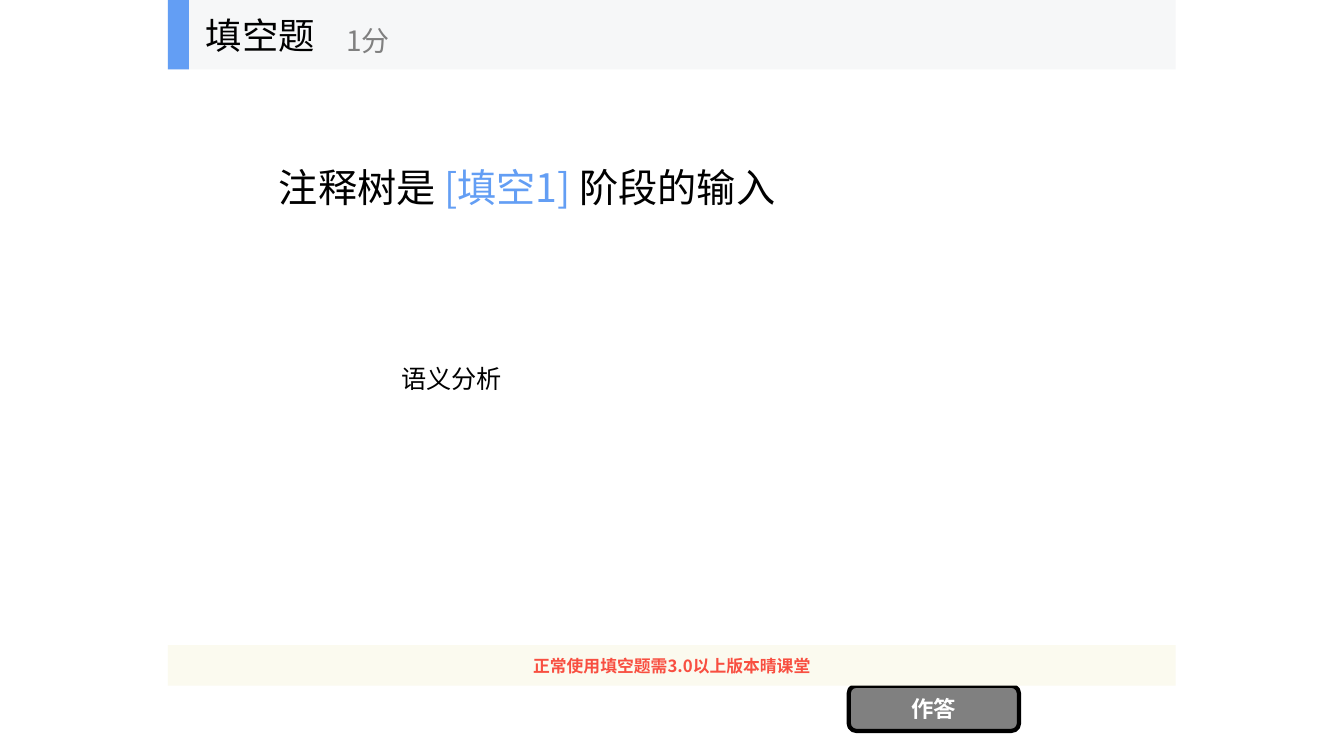
"""Build a fill-in-the-blank quiz slide."""
from lxml import etree
from pptx import Presentation
from pptx import util as u
from pptx.dml.color import RGBColor
from pptx.enum import shapes, text
from pptx.oxml.ns import qn

COLORS = {
    "black": "000000",
    "white": "FFFFFF",
    "gray": "808080",
    "blue": "639EF4",
    "header": "F6F7F8",
    "cream": "FBFAEF",
    "red": "F84F41",
}
LEFT, WIDTH = 4.23, 25.4
HEADER_HEIGHT = 1.75
NOTICE_TOP, NOTICE_HEIGHT = 16.26, 1.02


class QuizPage:
    """Hold the style and the current slide."""

    font = "Noto Sans CJK SC"

    def __init__(self, deck):
        self.page = deck.slides.add_slide(deck.slide_layouts[5])

    def color(self, name):
        return RGBColor.from_string(COLORS[name])

    def add_text(self, shape, spans, size, font=None, bold=False, wrap=False,
                 align=text.PP_ALIGN.LEFT, anchor=text.MSO_ANCHOR.MIDDLE):
        frame = shape.text_frame
        frame.word_wrap = wrap
        frame.auto_size = text.MSO_AUTO_SIZE.NONE
        frame.vertical_anchor = anchor
        para = frame.paragraphs[0]
        para.alignment = align
        for words, color in spans:
            span = para.add_run()
            span.text = words
            span.font.size = u.Pt(size)
            span.font.bold = bold
            span.font.name = font or self.font
            span.font.color.rgb = self.color(color)
            east_asian = etree.SubElement(span.font._element, qn("a:ea"))
            east_asian.set("typeface", font or self.font)

    def panel(self, place, fill, kind=shapes.MSO_SHAPE.RECTANGLE, line=None):
        shape = self.page.shapes.add_shape(kind, *map(u.Cm, place))
        shape.shadow.inherit = False
        shape.fill.solid()
        shape.fill.fore_color.rgb = self.color(fill)
        if line:
            shape.line.color.rgb = self.color(line)
            shape.line.width = u.Pt(3)
        else:
            shape.line.fill.background()
        return shape

    def label(self, place, spans, size, **style):
        box = self.page.shapes.add_textbox(*map(u.Cm, place))
        self.add_text(box, spans, size, **style)

    def title(self, place, spans, size):
        box = self.page.shapes.title
        box.left, box.top, box.width, box.height = map(u.Cm, place)
        self.page.shapes._spTree.append(box._element)
        self.add_text(box, spans, size)


def main():
    deck = Presentation()
    deck.slide_width, deck.slide_height = u.Cm(33.87), u.Cm(19.05)
    quiz = QuizPage(deck)
    center = text.PP_ALIGN.CENTER

    question = [("注释树是 ", "black"), ("[填空1] ", "blue"), ("阶段的输入", "black")]
    quiz.label((6.78, HEADER_HEIGHT, 20.32, 5.94), question, 28, wrap=True)

    button = quiz.panel((21.39, NOTICE_TOP + NOTICE_HEIGHT, 4.29, 1.14), "gray",
                        shapes.MSO_SHAPE.ROUNDED_RECTANGLE, "black")
    quiz.add_text(button, [("作答", "white")], 16, bold=True, wrap=True, align=center)

    notice = quiz.panel((LEFT, NOTICE_TOP, WIDTH, NOTICE_HEIGHT), "cream")
    quiz.add_text(notice, [("正常使用填空题需3.0以上版本晴课堂", "red")], 12,
                  bold=True, align=center)

    quiz.panel((LEFT, 0, WIDTH, HEADER_HEIGHT), "header")
    quiz.panel((LEFT, 0, 0.53, HEADER_HEIGHT), "blue")
    quiz.title((4.93, 0, 5.28, HEADER_HEIGHT), [("填空题", "black")], 26)
    quiz.label((8.48, 0.3, 6.35, 1.42), [("1分", "gray")], 20)

    quiz.label((9.86, 9.02, 11.28, 1.02), [("语义分析", "black")], 18,
               font="Calibri", wrap=True, anchor=text.MSO_ANCHOR.TOP)
    deck.save("out.pptx")


if __name__ == "__main__":
    main()
